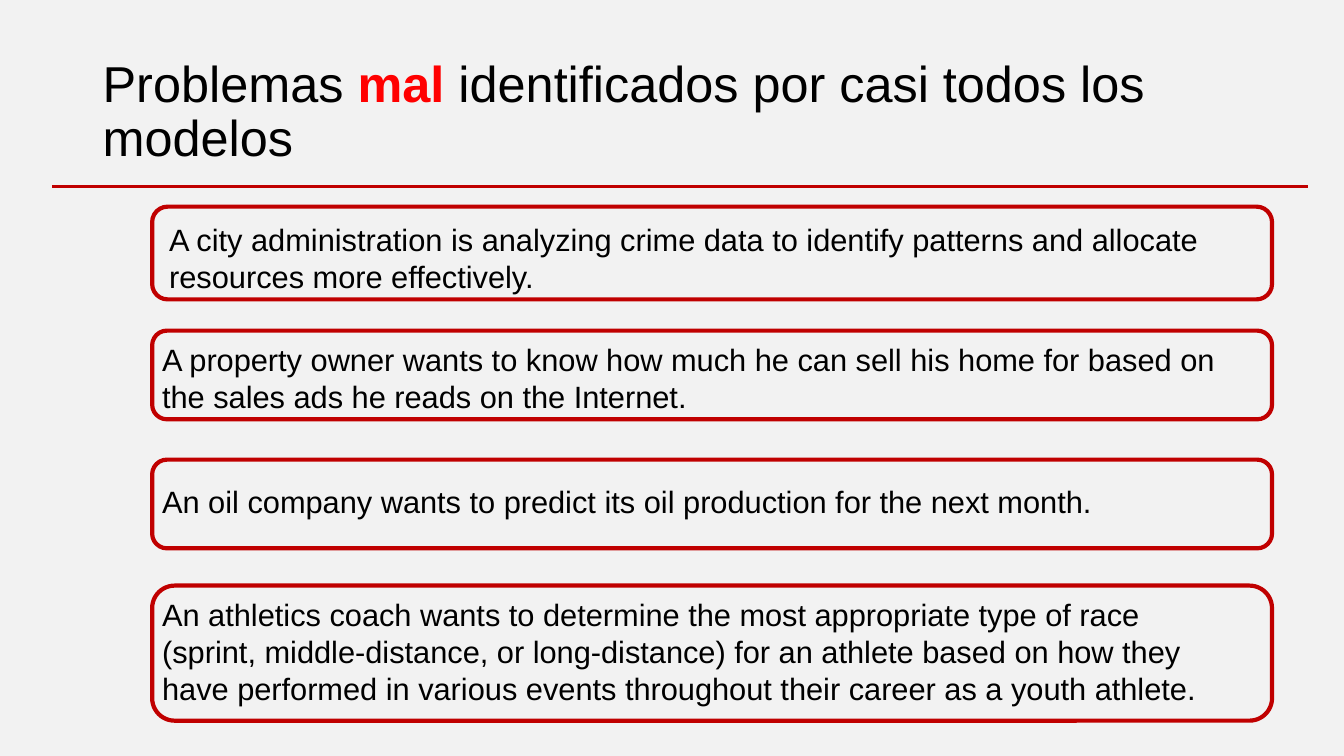
from lxml import etree
from pptx import Presentation
from pptx import util as u
from pptx.dml.color import RGBColor
from pptx.enum import shapes, text
from pptx.oxml.ns import qn

BACKGROUND = RGBColor(0xF2, 0xF2, 0xF2)
BLACK = RGBColor(0, 0, 0)
RED = RGBColor(0xFF, 0, 0)
DARK_RED = RGBColor(0xC0, 0, 0)

WIDTH, HEIGHT = u.Inches(13.33), u.Inches(7.5)
COLUMNS, ROWS = 160, 90
FRAME_LEFT, FRAME_WIDTH = 18.12, 133.32
PROBLEM_WIDTH = 129.8

# (frame row, frame rows, text indent, text drop, text rows, wording)
PROBLEMS = [
    (24.6, 11.04, 0.84, 1.08, 9.96,
     "A city administration is analyzing crime data to identify patterns "
     "and allocate resources more effectively."),
    (39.36, 10.56, 0, 0.6, 9.96,
     "A property owner wants to know how much he can sell his home for "
     "based on the sales ads he reads on the Internet."),
    (54.72, 10.56, 0, 2.16, 5.64,
     "An oil company wants to predict its oil production for the next month."),
    (69.72, 16.08, 0, 0.6, 14.4,
     "An athletics coach wants to determine the most appropriate type of race "
     "(sprint, middle-distance, or long-distance) for an athlete based on how "
     "they have performed in various events throughout their career as a "
     "youth athlete."),
]


def col(count):
    return round(WIDTH * count / COLUMNS)


def row(count):
    return round(HEIGHT * count / ROWS)


def area(left, top, width, height):
    return col(left), row(top), col(width), row(height)


def add_run(paragraph, wording, size=22, color=BLACK, bold=False):
    run = paragraph.add_run()
    run.text = wording
    run.font.name = "Arial"
    run.font.size = u.Pt(size)
    run.font.bold = bold
    run.font.color.rgb = color


def add_paragraph_box(slide, place, anchor=text.MSO_ANCHOR.TOP, spacing=1.0):
    frame = slide.shapes.add_textbox(*area(*place)).text_frame
    frame.word_wrap = True
    frame.vertical_anchor = anchor
    paragraph = frame.paragraphs[0]
    paragraph.line_spacing = spacing
    return paragraph


def add_title(slide):
    title = add_paragraph_box(slide, (11.04, 4.8, 138, 17.4),
                              anchor=text.MSO_ANCHOR.MIDDLE, spacing=0.9)
    add_run(title, "Problemas ", size=36)
    add_run(title, "mal ", size=36, color=RED, bold=True)
    add_run(title, "identificados por casi todos los modelos", size=36)


def add_divider(slide):
    divider = slide.shapes.add_connector(
        shapes.MSO_CONNECTOR.STRAIGHT,
        col(6.24), row(22.2), col(155.76), row(22.2))
    divider.line.color.rgb = DARK_RED
    divider.line.width = u.Pt(1.5)
    etree.SubElement(divider._element.spPr, qn("a:effectLst"))


def add_problem_frame(slide, top, height):
    outline = slide.shapes.add_shape(
        shapes.MSO_SHAPE.FLOWCHART_ALTERNATE_PROCESS,
        *area(FRAME_LEFT, top, FRAME_WIDTH, height))
    outline.shadow.inherit = False
    outline.fill.background()
    outline.line.color.rgb = DARK_RED
    outline.line.width = u.Pt(3)


def add_problem(slide, top, height, indent, drop, text_height, wording):
    add_problem_frame(slide, top, height)
    problem = add_paragraph_box(
        slide, (FRAME_LEFT + indent, top + drop, PROBLEM_WIDTH, text_height))
    add_run(problem, wording)


def main():
    deck = Presentation()
    deck.slide_width, deck.slide_height = WIDTH, HEIGHT
    slide = deck.slides.add_slide(deck.slide_layouts[6])
    slide.background.fill.solid()
    slide.background.fill.fore_color.rgb = BACKGROUND

    add_title(slide)
    add_divider(slide)
    for problem in PROBLEMS:
        add_problem(slide, *problem)
    deck.save("out.pptx")


if __name__ == "__main__":
    main()
